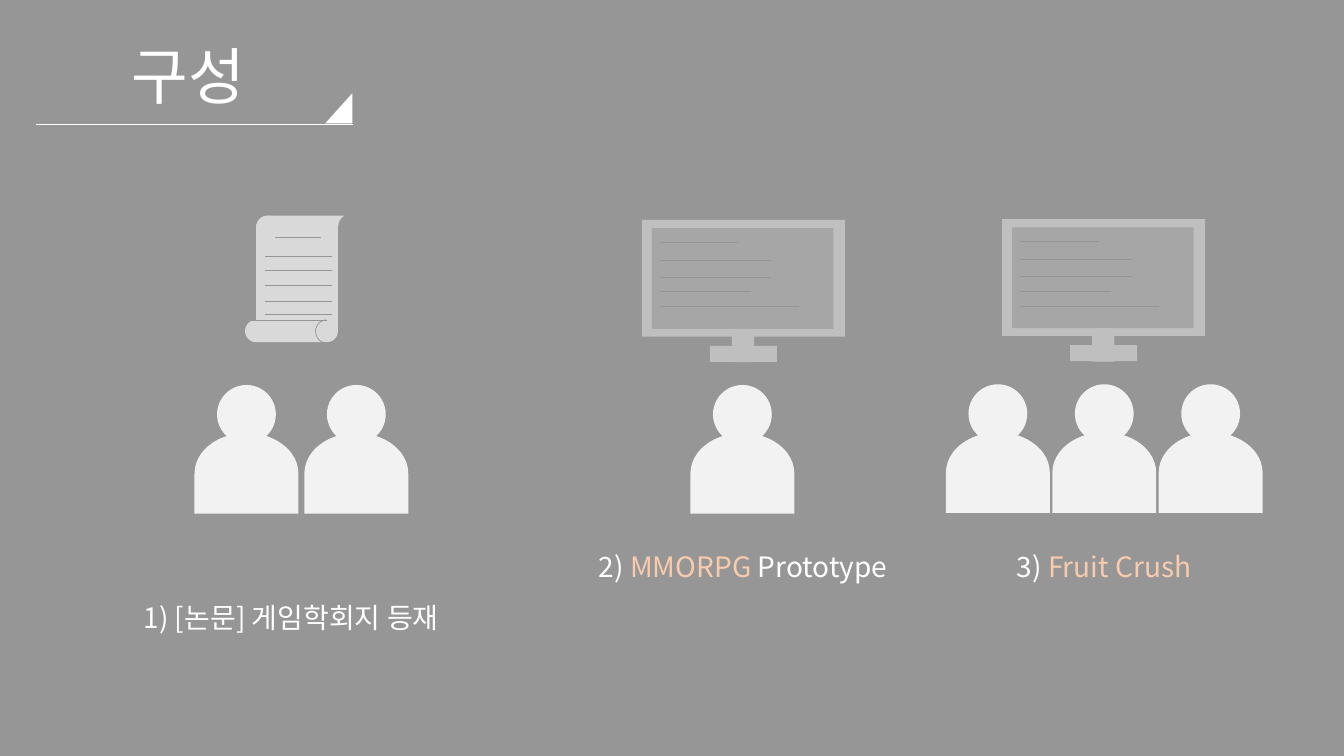
from lxml import etree
from pptx import Presentation
from pptx import util as u
from pptx.dml.color import RGBColor
from pptx.enum import shapes, text
from pptx.oxml.ns import qn

FONT = "Noto Sans CJK KR"
GRAY, WHITE, PEACH = "969696", "FFFFFF", "F8CBAD"
PERSON, PAPER, FRAME, SCREEN = "F2F2F2", "D9D9D9", "BFBFBF", "A6A6A6"
MS = shapes.MSO_SHAPE
AL = text.PP_ALIGN


def rgb(hex_):
    return RGBColor.from_string(hex_)


def shape(parent, kind, x, y, w, h, fill, rot=0):
    sp = parent.add_shape(kind, u.Pt(x), u.Pt(y), u.Pt(w), u.Pt(h))
    sp.shadow.inherit = False
    sp.rotation = rot
    sp.fill.solid()
    sp.fill.fore_color.rgb = rgb(fill)
    sp.line.fill.background()
    return sp


def arc(parent, x, y, w, h, start, end):
    sp = shape(parent, MS.ARC, x, y, w, h, GRAY)
    sp.fill.background()
    sp.line.color.rgb = rgb(GRAY)
    sp.line.width = u.Pt(0.5)
    sp.adjustments[0], sp.adjustments[1] = start, end


def rule(parent, x, y, length, color):
    c = parent.add_connector(shapes.MSO_CONNECTOR.STRAIGHT,
                             u.Pt(x), u.Pt(y), u.Pt(x + length), u.Pt(y))
    c.line.color.rgb = rgb(color)
    c.line.width = u.Pt(0.5)
    etree.SubElement(c._element.spPr, qn("a:effectLst"))


def write(tf, runs, size, align, spacing=None):
    """Fill one paragraph with (wording, colour) runs."""
    tf.word_wrap = True
    p = tf.paragraphs[0]
    p.alignment = align
    if spacing:
        p.line_spacing = spacing
    p.font.size = u.Pt(size)
    p.font.name = FONT
    etree.SubElement(p.font._element, qn("a:ea")).set("typeface", FONT)
    for wording, color in runs:
        r = p.add_run()
        r.text = wording
        if len(runs) > 1:
            r.font.color.rgb = rgb(color)
    if len(runs) == 1:
        p.font.color.rgb = rgb(runs[0][1])


def header(s, x, y):
    # Title, underline and corner triangle
    sp = s.shapes.title
    sp.left, sp.top, sp.width, sp.height = map(u.Pt, (x + 61, y, 104, 64))
    sp.text_frame.vertical_anchor = text.MSO_ANCHOR.MIDDLE
    sp.text_frame.auto_size = text.MSO_AUTO_SIZE.NONE
    write(sp.text_frame, [("구성", WHITE)], 44, AL.LEFT, 0.9)
    rule(s.shapes, x, y + 64, 226, WHITE)
    shape(s.shapes, MS.RIGHT_TRIANGLE, x + 205.2, y + 43.2, 21.6, 19.4, WHITE, 270)


def caption(s, x, y, w, h, runs, spacing=None):
    tf = s.shapes.add_textbox(u.Pt(x), u.Pt(y), u.Pt(w), u.Pt(h)).text_frame
    tf.vertical_anchor = text.MSO_ANCHOR.MIDDLE
    write(tf, runs, 20, AL.CENTER, spacing)


def team(s, center, y, count, pitch=0):
    # Row of people centred on a point
    for i in range(count):
        cx = center + (i - (count - 1) / 2) * pitch
        g = s.shapes.add_group_shape().shapes
        shape(g, MS.FLOWCHART_DELAY, cx - 28.8, y + 26, 57.6, 74.2, PERSON, 270)
        shape(g, MS.OVAL, cx - 21, y, 42, 42, PERSON)


def scroll(s, x, y):
    # Paper with rolled ends
    for kind, dx, dy, w, h, fill in (
            (MS.RECTANGLE, 8, 7, 58.3, 76.3, PAPER),
            (MS.RECTANGLE, 8, 79.8, 50.4, 11.2, PAPER),
            (MS.OVAL, 8, 0.5, 16, 16, PAPER),
            (MS.OVAL, 50.4, 75, 16, 16, PAPER),
            (MS.OVAL, 0, 75, 16, 16, PAPER),
            (MS.RECTANGLE, 16, 0.5, 54.7, 7.2, PAPER),
            (MS.OVAL, 67, 0, 16, 16, GRAY)):
        shape(s.shapes, kind, x + dx, y + dy, w, h, fill)
    # Curled edges
    arc(s.shapes, x + 50.4, y + 75, 16, 16.5, 51.5, 161.48)
    arc(s.shapes, x + 67, y, 16, 16.5, 109.28, 154.88)
    # Fold, heading and written lines
    rule(s.shapes, x - 9, y + 75, 67.5, GRAY)
    rule(s.shapes, x + 21.6, y + 16.4, 33, GRAY)
    for dy in (29.4, 39.5, 50.3, 61.8, 71.3):
        rule(s.shapes, x + 14.4, y + dy, 47.7, GRAY)


def monitor(s, x, y):
    g = s.shapes.add_group_shape().shapes
    # Frame and screen
    shape(g, MS.RECTANGLE, x, y, 145, 83.5, FRAME)
    shape(g, MS.RECTANGLE, x + 7.2, y + 6, 129.6, 72, SCREEN)
    for dy, length in ((16, 56), (29, 79.5), (41, 79.5), (51.3, 65), (62, 99)):
        rule(g, x + 13, y + dy, length, GRAY)
    # Stand
    shape(g, MS.RECTANGLE, x + 48.5, y + 90, 48, 11.5, FRAME)
    shape(g, MS.RECTANGLE, x + 64.3, y + 78, 16, 23.8, FRAME)


def main():
    prs = Presentation()
    prs.slide_width, prs.slide_height = u.Pt(960), u.Pt(540)
    s = prs.slides.add_slide(prs.slide_layouts[5])
    s.background.fill.solid()
    s.background.fill.fore_color.rgb = rgb(GRAY)
    header(s, 26, 24.5)

    # Paper
    scroll(s, 175, 153.5)
    team(s, 215.3, 275, 2, 78.5)
    caption(s, 19.5, 381.6, 377, 107.3, [("1) [논문] 게임학회지 등재", WHITE)], 1.5)

    # Prototype
    monitor(s, 458.5, 157)
    team(s, 530.3, 275, 1)
    caption(s, 391, 389, 279.4, 31.5,
            [("2) ", WHITE), ("MMORPG ", PEACH), ("Prototype", WHITE)])

    # Puzzle game
    monitor(s, 715.8, 156.5)
    team(s, 788.8, 274.5, 3, 76)
    caption(s, 704, 389, 169.2, 31.5, [("3) ", WHITE), ("Fruit Crush", PEACH)])

    prs.save("out.pptx")


if __name__ == "__main__":
    main()
